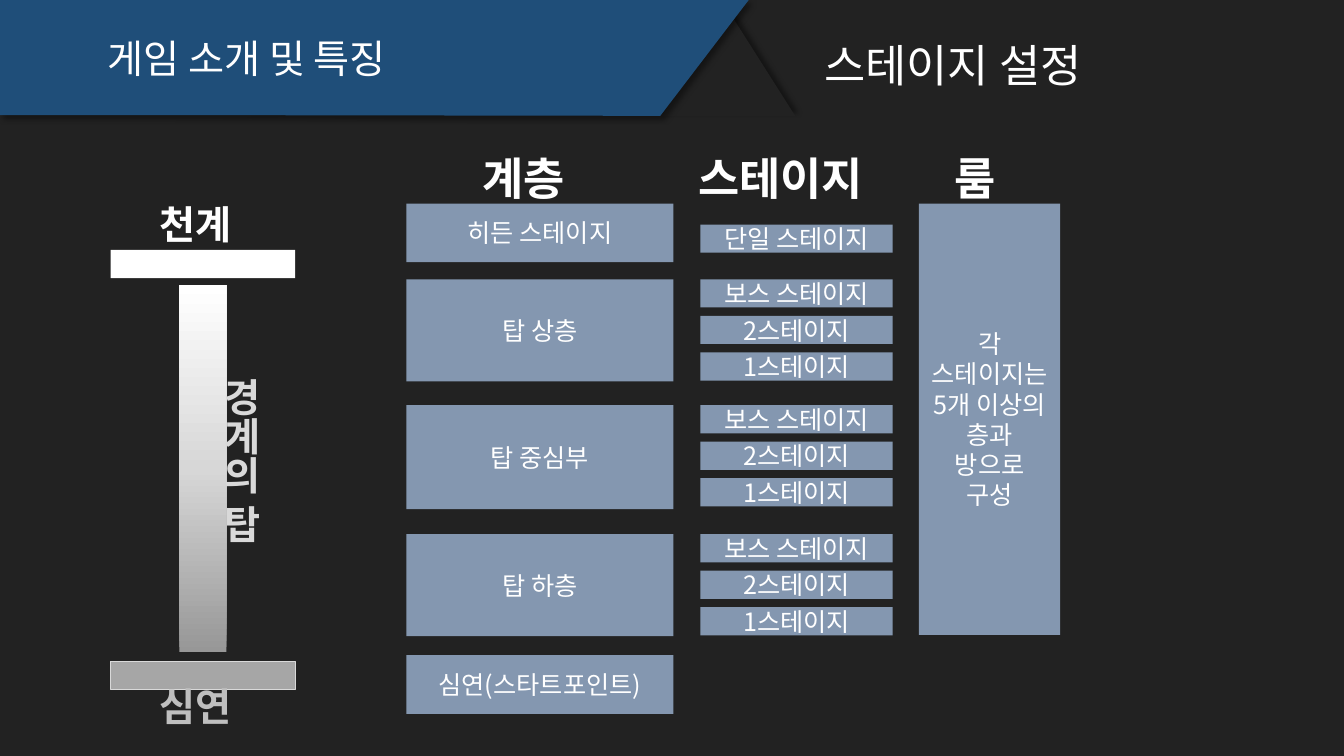
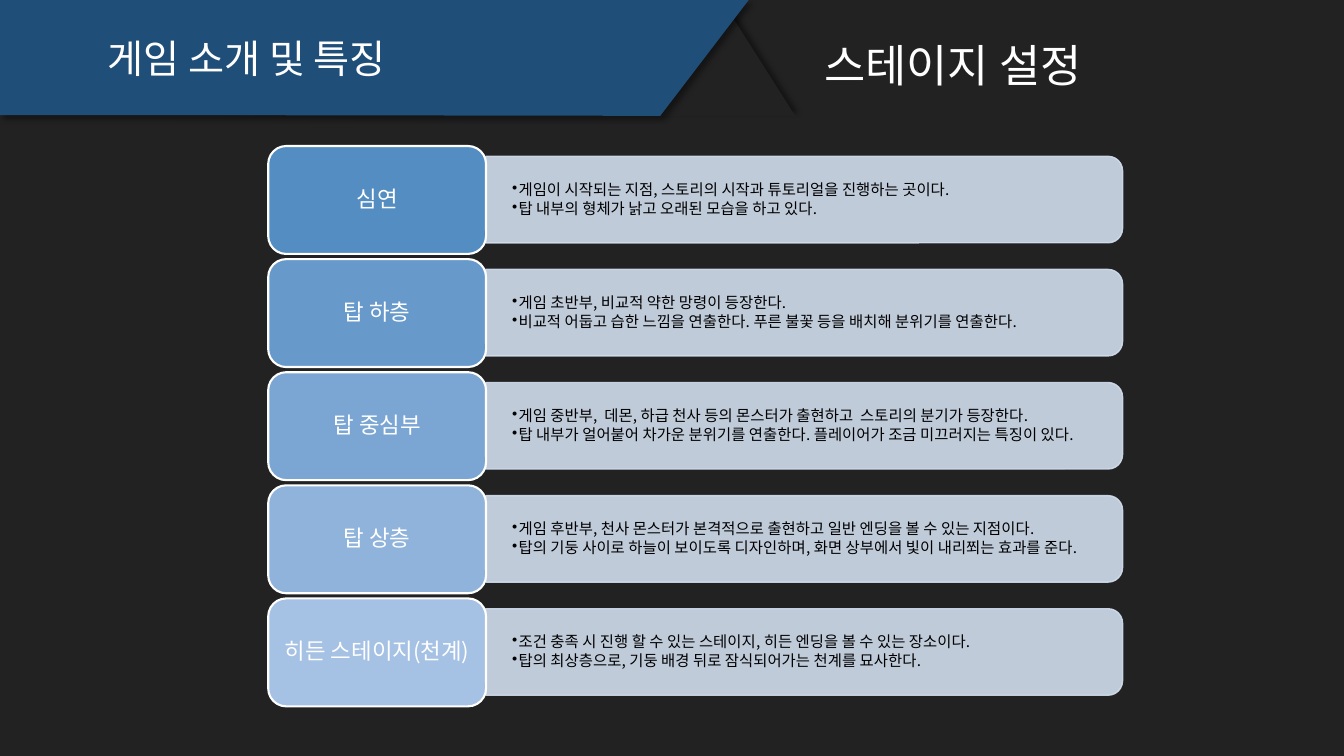
"""Build two slides on the stage structure of a tower game."""
import copy

import lxml.etree
import pptx
import pptx.dml.color
import pptx.enum.shapes
import pptx.enum.text
import pptx.oxml.ns
import pptx.util

Cm = pptx.util.Cm
Pt = pptx.util.Pt
RGBColor = pptx.dml.color.RGBColor
SHAPE = pptx.enum.shapes.MSO_SHAPE
ALIGN = pptx.enum.text.PP_ALIGN
ANCHOR = pptx.enum.text.MSO_ANCHOR
qn = pptx.oxml.ns.qn

FONT = "Noto Sans CJK KR"
BLACK = RGBColor(0x00, 0x00, 0x00)
WHITE = RGBColor(0xFF, 0xFF, 0xFF)
DARK = RGBColor(0x22, 0x22, 0x22)
NAVY = RGBColor(0x1F, 0x4E, 0x79)
STEEL = RGBColor(0x84, 0x97, 0xB0)
PALE_BLUE = RGBColor(0xD2, 0xDE, 0xEF)
SILVER = RGBColor(0xD9, 0xD9, 0xD9)
GREY = RGBColor(0xBF, 0xBF, 0xBF)
MID_GREY = RGBColor(0xA6, 0xA6, 0xA6)
PILLAR_STOPS = [
    (0, RGBColor(0x97, 0x97, 0x97)),
    (0.5, RGBColor(0xD7, 0xD7, 0xD7)),
    (1, WHITE),
]


def write(shape, text, size=18, color=WHITE, bold=False, align=ALIGN.CENTER,
          anchor=ANCHOR.MIDDLE, insets=(0.25, 0.13), spacing=None, after=None,
          bullet=None, vertical=False):
    """Fill a shape with formatted text, one paragraph per line."""
    frame = shape.text_frame
    frame.word_wrap = True
    frame.vertical_anchor = anchor
    frame.margin_left = frame.margin_right = Cm(insets[0])
    frame.margin_top = frame.margin_bottom = Cm(insets[1])
    if vertical:
        frame._txBody.bodyPr.set("vert", "eaVert")
    for number, line in enumerate(text.split("\n")):
        paragraph = frame.add_paragraph() if number else frame.paragraphs[0]
        paragraph.alignment = align
        paragraph.line_spacing = spacing
        paragraph.space_after = after
        if bullet:
            paragraph.level = 1
            properties = paragraph._p.get_or_add_pPr()
            properties.set("marL", str(Cm(0.16)))
            properties.set("indent", str(-Cm(0.16)))
            lxml.etree.SubElement(properties, qn("a:buChar"), char=bullet)
        run = paragraph.add_run()
        run.text = line
        run.font.size = Pt(size)
        run.font.bold = bold
        run.font.color.rgb = color
        run.font.name = FONT
        lxml.etree.SubElement(run._r.get_or_add_rPr(), qn("a:ea"), typeface=FONT)


def paint(shape, fill, line=None, width=0.75, shadow=None, opacity=None):
    """Set fill, outline, shadow direction in degrees and opacity in percent."""
    shape.shadow.inherit = False
    shape.fill.solid()
    shape.fill.fore_color.rgb = fill
    if line is None:
        shape.line.fill.background()
    else:
        shape.line.color.rgb = line
        shape.line.width = Pt(width)
    properties = shape._element.spPr
    if opacity is not None:
        for color in properties.findall(".//" + qn("a:srgbClr")):
            lxml.etree.SubElement(color, qn("a:alpha"), val=str(opacity * 1000))
    if shadow is not None:
        outer = lxml.etree.SubElement(
            properties.find(qn("a:effectLst")), qn("a:outerShdw"),
            blurRad=str(Pt(4)), dist=str(Pt(3)), dir=str(shadow * 60000),
            algn="ctr", rotWithShape="0")
        color = lxml.etree.SubElement(outer, qn("a:srgbClr"), val="000000")
        lxml.etree.SubElement(color, qn("a:alpha"), val="40000")
    return shape


deck = pptx.Presentation()
deck.slide_width = Cm(33.87)
deck.slide_height = Cm(19.05)
backdrop = deck.slide_master.background.fill
backdrop.solid()
backdrop.fore_color.rgb = DARK
structure, details = [deck.slides.add_slide(deck.slide_layouts[6]) for _ in range(2)]

for slide in (structure, details):
    wedge = slide.shapes.add_shape(
        SHAPE.ISOSCELES_TRIANGLE, Cm(16.69), Cm(0.28), Cm(3.35), Cm(2.64))
    paint(wedge, DARK, shadow=315)
    outline = slide.shapes.build_freeform(0, 0)
    outline.add_line_segments(
        [(Cm(18.87), 0), (Cm(16.64), Cm(2.92)), (Cm(3.94), Cm(2.9)), (0, Cm(2.9))])
    paint(outline.convert_to_shape(), NAVY, shadow=45)
    chapter = slide.shapes.add_textbox(Cm(2.46), Cm(0.74), Cm(8.56), Cm(1.45))
    write(chapter, "게임 소개 및 특징", size=28, align=ALIGN.LEFT, anchor=ANCHOR.TOP)
    topic = slide.shapes.add_textbox(Cm(20.52), Cm(0.81), Cm(8.08), Cm(1.63))
    write(topic, "스테이지 설정", size=32, align=ALIGN.LEFT, anchor=ANCHOR.TOP)

for heading, left, width in [
    ("계층", 11.02, 4.37),
    ("스테이지", 16.26, 6.83),
    ("룸", 22.38, 4.37),
]:
    column = structure.shapes.add_textbox(Cm(left), Cm(3.66), Cm(width), Cm(1.63))
    write(column, heading, size=32, bold=True, anchor=ANCHOR.TOP)

FLOOR_STAGES = ["보스 스테이지", "2스테이지", "1스테이지"]
STAGE_PITCH = 0.92
for layer_name, top, height, stage_top, stages in [
    ("히든 스테이지", 5.13, 1.48, 5.66, ["단일 스테이지"]),
    ("탑 상층", 7.04, 2.57, 7.04, FLOOR_STAGES),
    ("탑 중심부", 10.21, 2.62, 10.21, FLOOR_STAGES),
    ("탑 하층", 13.46, 2.57, 13.46, FLOOR_STAGES),
    ("심연(스타트포인트)", 16.51, 1.48, 16.51, []),
]:
    layer = structure.shapes.add_shape(
        SHAPE.RECTANGLE, Cm(10.24), Cm(top), Cm(6.73), Cm(height))
    write(paint(layer, STEEL), layer_name)
    for step, stage_name in enumerate(stages):
        stage = structure.shapes.add_shape(
            SHAPE.RECTANGLE, Cm(17.65), Cm(stage_top + step * STAGE_PITCH),
            Cm(4.85), Cm(0.71))
        write(paint(stage, STEEL), stage_name)

room = structure.shapes.add_shape(
    SHAPE.RECTANGLE, Cm(23.16), Cm(5.13), Cm(3.56), Cm(10.87))
write(paint(room, STEEL), "각 스테이지는 5개 이상의 층과 방으로 구성")

for top, fill, line in [(6.3, WHITE, None), (16.66, MID_GREY, SILVER)]:
    plate = structure.shapes.add_shape(
        SHAPE.RECTANGLE, Cm(2.79), Cm(top), Cm(4.65), Cm(0.71))
    paint(plate, fill, line=line)

pillar = structure.shapes.add_shape(
    SHAPE.RECTANGLE, Cm(4.52), Cm(7.19), Cm(1.19), Cm(9.25))
paint(pillar, SILVER)
pillar.fill.gradient()
pillar.fill.gradient_angle = 90
stop_list = pillar._element.spPr.find(".//" + qn("a:gsLst"))
stop_list.append(copy.deepcopy(stop_list[0]))
for stop, (position, color) in zip(pillar.fill.gradient_stops, PILLAR_STOPS):
    stop.position = position
    stop.color.rgb = color

for caption, left, top, width, height, color, vertical in [
    ("천계", 3.76, 4.93, 3.18, 1.45, WHITE, False),
    ("심연", 3.76, 17.07, 3.18, 1.45, GREY, False),
    ("경계의 탑", 5.23, 9.4, 1.7, 5.54, SILVER, True),
]:
    place = structure.shapes.add_textbox(Cm(left), Cm(top), Cm(width), Cm(height))
    write(place, caption, size=28, color=color, bold=True, align=ALIGN.LEFT,
          anchor=ANCHOR.TOP, vertical=vertical)

ROW_TOP, ROW_PITCH = 3.68, 2.85
BAR_LEFT, BAR_WIDTH, BAR_HEIGHT = 12.24, 16.05, 2.18
BAR_SHIFT = (BAR_WIDTH - BAR_HEIGHT) / 2
for row, (layer_name, fill, description) in enumerate([
    ("심연", RGBColor(0x53, 0x8D, 0xC1),
     "게임이 시작되는 지점, 스토리의 시작과 튜토리얼을 진행하는 곳이다.\n"
     "탑 내부의 형체가 낡고 오래된 모습을 하고 있다."),
    ("탑 하층", RGBColor(0x67, 0x99, 0xCA),
     "게임 초반부, 비교적 약한 망령이 등장한다.\n"
     "비교적 어둡고 습한 느낌을 연출한다. 푸른 불꽃 등을 배치해 분위기를 연출한다."),
    ("탑 중심부", RGBColor(0x7B, 0xA6, 0xD3),
     "게임 중반부,  데몬, 하급 천사 등의 몬스터가 출현하고  스토리의 분기가 등장한다.\n"
     "탑 내부가 얼어붙어 차가운 분위기를 연출한다. 플레이어가 조금 미끄러지는 특징이 있다."),
    ("탑 상층", RGBColor(0x90, 0xB3, 0xDB),
     "게임 후반부, 천사 몬스터가 본격적으로 출현하고 일반 엔딩을 볼 수 있는 지점이다.\n"
     "탑의 기둥 사이로 하늘이 보이도록 디자인하며, 화면 상부에서 빛이 내리쬐는 효과를 준다."),
    ("히든 스테이지(천계)", RGBColor(0xA5, 0xC1, 0xE3),
     "조건 충족 시 진행 할 수 있는 스테이지, 히든 엔딩을 볼 수 있는 장소이다.\n"
     "탑의 최상층으로, 기둥 배경 뒤로 잠식되어가는 천계를 묘사한다."),
]):
    top = ROW_TOP + row * ROW_PITCH
    bar = details.shapes.add_shape(
        SHAPE.ROUND_2_SAME_RECTANGLE, Cm(BAR_LEFT + BAR_SHIFT),
        Cm(top + 0.26 - BAR_SHIFT), Cm(BAR_HEIGHT), Cm(BAR_WIDTH))
    bar.rotation = 90
    paint(bar, PALE_BLUE, line=PALE_BLUE, width=1, opacity=90)
    features = details.shapes.add_textbox(
        Cm(12.22), Cm(top + 0.38), Cm(15.95), Cm(1.96))
    write(features, description, size=11, color=BLACK, align=ALIGN.LEFT,
          insets=(0.69, 0.36), spacing=0.9, after=Pt(1.65), bullet="•")
    label = details.shapes.add_shape(
        SHAPE.ROUNDED_RECTANGLE, Cm(6.76), Cm(top), Cm(5.49), Cm(2.72))
    paint(label, fill, line=WHITE, width=1.5)
    write(label, layer_name, size=16, insets=(0.18, 0.08), spacing=0.9)

deck.save("out.pptx")
